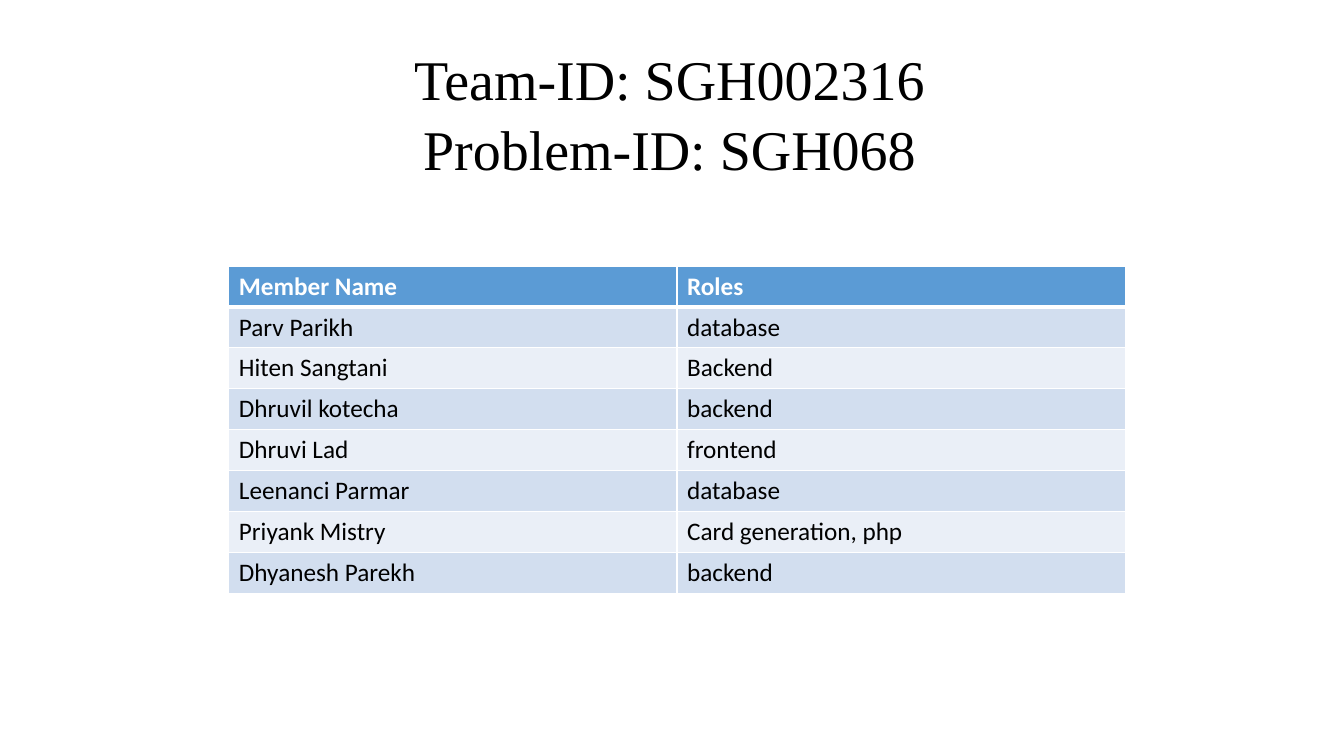
import dataclasses

import pptx
import pptx.dml.color
import pptx.enum.text
import pptx.oxml
import pptx.oxml.ns
import pptx.util

WIDE, HIGH = pptx.util.Inches(13.33), pptx.util.Inches(7.5)
WHITE, BLACK = "FFFFFF", "000000"


@dataclasses.dataclass(frozen=True)
class Area:
    """A box in percent of the slide's width and height."""
    left: float
    top: float
    width: float
    height: float

    def place(self) -> tuple[int, int, int, int]:
        """Return the box as slide lengths."""
        return (int(WIDE * self.left / 100), int(HIGH * self.top / 100),
                int(WIDE * self.width / 100), int(HIGH * self.height / 100))


@dataclasses.dataclass(frozen=True)
class Style:
    fill: str
    ink: str
    bold: bool
    edges: dict[str, int]


@dataclasses.dataclass(frozen=True)
class Member:
    name: str
    role: str


THIN = {"lnL": 1, "lnR": 1, "lnT": 1, "lnB": 1}
HEAD = Style("5B9BD5", WHITE, True, THIN | {"lnB": 3})
FIRST = Style("D2DEEF", BLACK, False, THIN | {"lnT": 3})
BANDS = (Style("EAEFF7", BLACK, False, THIN), Style("D2DEEF", BLACK, False, THIN))

TITLE_AREA = Area(2.25, 5.07, 95.12, 19.33)
TABLE_AREA = Area(17.03, 35.2, 66.7, 43.2)
TITLE = "Team-ID: SGH002316\nProblem-ID: SGH068"
HEADER = Member("Member Name", "Roles")
TEAM = (
    Member("Parv Parikh", "database"),
    Member("Hiten Sangtani", "Backend"),
    Member("Dhruvil kotecha", "backend"),
    Member("Dhruvi Lad", "frontend"),
    Member("Leenanci Parmar", "database"),
    Member("Priyank Mistry", "Card generation, php"),
    Member("Dhyanesh Parekh", "backend"),
)


def color(code: str) -> pptx.dml.color.RGBColor:
    return pptx.dml.color.RGBColor.from_string(code)


def apply(target, values: dict) -> None:
    for key, value in values.items():
        setattr(target, key, value)


def format_text(frame, ink: str, font: dict, para: dict) -> None:
    for line in frame.paragraphs:
        apply(line, para)
        for run in line.runs:
            apply(run.font, font)
            run.font.color.rgb = color(ink)


def add_title(slide) -> None:
    title = slide.shapes.title
    apply(title, dict(zip(("left", "top", "width", "height"), TITLE_AREA.place())))
    frame = title.text_frame
    frame.text = TITLE
    apply(frame, {
        "word_wrap": True,
        "auto_size": pptx.enum.text.MSO_AUTO_SIZE.NONE,
        "vertical_anchor": pptx.enum.text.MSO_ANCHOR.MIDDLE,
    })
    format_text(frame, BLACK,
                {"name": "Times New Roman", "size": pptx.util.Pt(40)},
                {"alignment": pptx.enum.text.PP_ALIGN.CENTER, "line_spacing": 1.05})


def add_edges(cell, edges: dict[str, int]) -> None:
    """Draw white cell borders; widths are in points."""
    props = cell._tc.get_or_add_tcPr()
    for side, width in edges.items():
        props.append(pptx.oxml.parse_xml(
            f'<a:{side} {pptx.oxml.ns.nsdecls("a")} w="{pptx.util.Pt(width)}">'
            f'<a:solidFill><a:srgbClr val="{WHITE}"/></a:solidFill></a:{side}>'))


def fill_cell(cell, text: str, style: Style) -> None:
    cell.text = text
    add_edges(cell, style.edges)
    cell.fill.solid()
    cell.fill.fore_color.rgb = color(style.fill)
    format_text(cell.text_frame, style.ink,
                {"name": "Calibri", "size": pptx.util.Pt(18), "bold": style.bold},
                {"alignment": pptx.enum.text.PP_ALIGN.LEFT})


def add_team(slide) -> None:
    people = (HEADER, *TEAM)
    table = slide.shapes.add_table(len(people), 2, *TABLE_AREA.place()).table
    for row, person in enumerate(people):
        style = (HEAD, FIRST)[row] if row < 2 else BANDS[row % 2]
        for col, text in enumerate(dataclasses.astuple(person)):
            fill_cell(table.cell(row, col), text, style)


def main() -> None:
    deck = pptx.Presentation()
    apply(deck, {"slide_width": WIDE, "slide_height": HIGH})
    slide = deck.slides.add_slide(deck.slide_layouts.get_by_name("Title Only"))
    add_title(slide)
    add_team(slide)
    deck.save("out.pptx")


if __name__ == "__main__":
    main()
